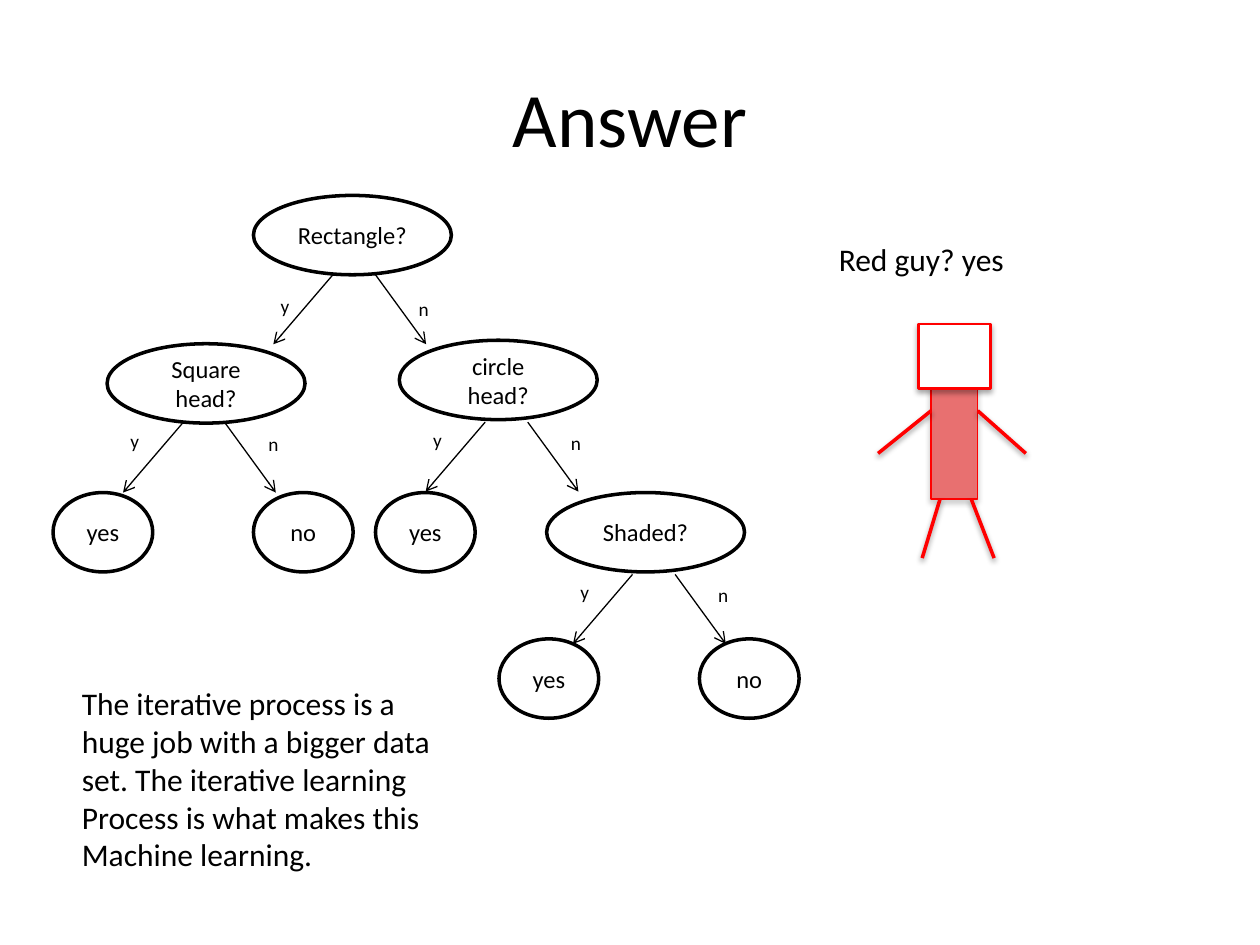
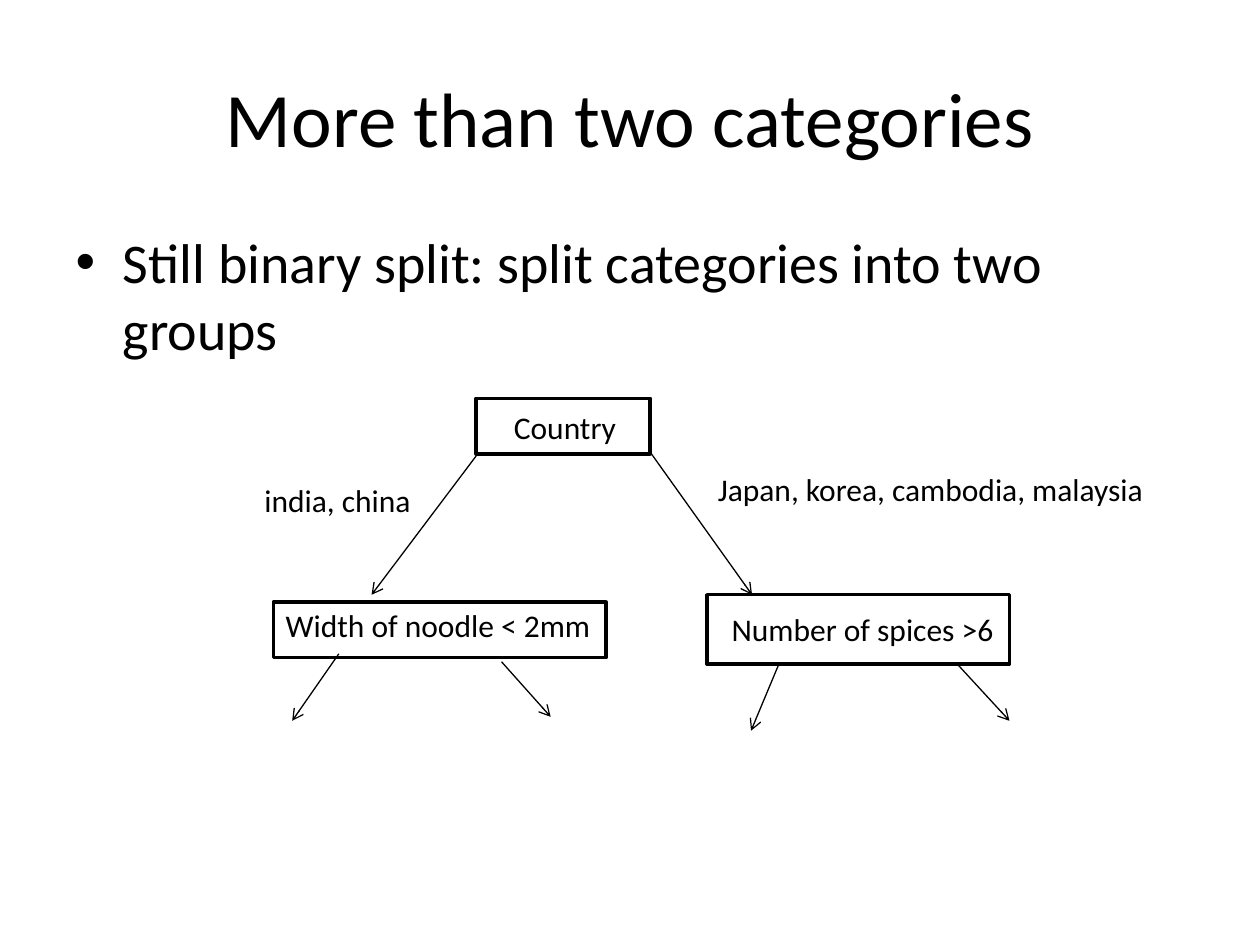
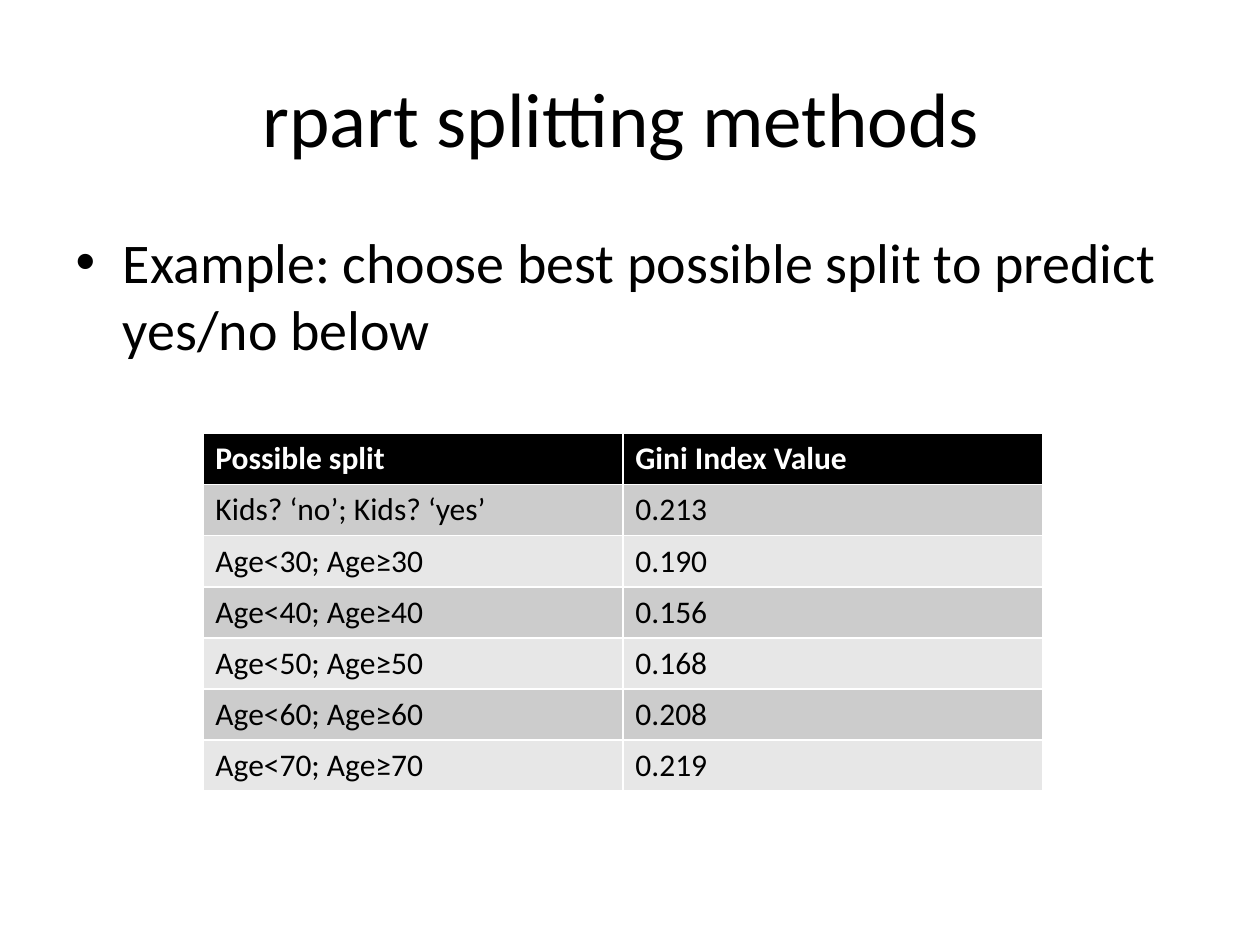
import pptx
import pptx.dml.color
import pptx.enum.shapes
import pptx.enum.text
import pptx.oxml
import pptx.oxml.ns
import pptx.util
from lxml import etree
from pptx.util import Cm

SHAPE = pptx.enum.shapes.MSO_SHAPE
FONT = "Calibri"
BLACK, WHITE, RED = "000000", "FFFFFF", "FF0000"
HEADER_FILL, ROW_FILLS = BLACK, ("CCCCCC", "E7E7E7")
TITLE_ONLY, TITLE_AND_BODY = 5, 1

# Lengths are in centimetres.
TITLE_BOX = (1.27, 0.76, 22.86, 3.18)
BODY_LEFT, BODY_TOP, BODY_WIDTH = 1.27, 4.45, 22.86
NODE_HEIGHT, QUESTION_WIDTH, LEAF_WIDTH = 1.6, 3.99, 2.01

QUESTIONS = [
    ("Rectangle?", 5.11, 3.94),
    ("Square head?", 2.16, 6.93),
    ("circle head?", 8.05, 6.86),
    ("Shaded?", 11.02, 9.93),
]
LEAVES = [
    ("yes", 1.07, 9.93), ("no", 5.11, 9.93), ("yes", 7.57, 9.93),
    ("yes", 10.06, 12.88), ("no", 14.1, 12.88),
]
# Start of the left arrow, and how far the y/n labels hang below it.
FORKS = [(6.71, 5.54, 0.26), (3.68, 8.53, 0), (9.78, 8.51, 0), (12.75, 11.58, 0)]
# Per branch: label, arrow start, arrow end, label left and top, label width.
BRANCHES = [("y", 0, -1.2, -1.3, 0, 0.69), ("n", 0.86, 1.88, 1.48, 0.06, 0.71)]
BRANCH_DROP = 1.4

ANSWER_TEXT = [
    "The iterative process is a",
    "huge job with a bigger data",
    "set. The iterative learning",
    "Process is what makes this",
    "Machine learning.",
]
LIMBS = [
    (19.58, 10.06, 20.04, 11.25), (18.95, 10.06, 18.59, 11.25),
    (19.71, 8.28, 20.68, 9.14), (18.77, 8.28, 17.7, 9.14),
]

CATEGORY_BOXES = [
    (9.6, 8.03, 3.51, 1.12), (5.51, 12.14, 6.71, 1.12), (14.25, 11.99, 6.1, 1.4),
]
CATEGORY_TEXTS = [
    ("Country", 10.11, 8.1, 5.03),
    ("india, china", 5.08, 9.58, 3.51),
    ("Japan, korea, cambodia, malaysia", 14.22, 9.35, 9.19),
    ("Width of noodle < 2mm", 5.51, 12.09, 6.73),
    ("Number of spices >6", 14.5, 12.17, 5.87),
]
CATEGORY_ARROWS = [
    (9.6, 9.19, 7.49, 11.99), (13.11, 9.12, 15.16, 11.99),
    (6.83, 13.18, 5.89, 14.53), (10.11, 13.34, 11.1, 14.45),
    (15.7, 13.39, 15.14, 14.73), (19.3, 13.39, 20.35, 14.53),
]

GINI_ROWS = [
    ("Possible split", "Gini Index Value"),
    ("Kids? ‘no’; Kids? ‘yes’", "0.213"),
    ("Age<30; Age≥30", "0.190"),
    ("Age<40; Age≥40", "0.156"),
    ("Age<50; Age≥50", "0.168"),
    ("Age<60; Age≥60", "0.208"),
    ("Age<70; Age≥70", "0.219"),
]


def color(value):
    return pptx.dml.color.RGBColor.from_string(value)


def lengths(*values):
    return [Cm(value) for value in values]


def write(frame, lines, size, ink=BLACK, bold=False, align=None):
    for index, line in enumerate(lines):
        para = frame.paragraphs[0] if index == 0 else frame.add_paragraph()
        para.alignment = align
        span = para.add_run()
        span.text = line
        span.font.name = FONT
        span.font.size = pptx.util.Pt(size)
        span.font.bold = bold
        span.font.color.rgb = color(ink)


def add_child(parent, tag, **attributes):
    return etree.SubElement(parent, pptx.oxml.ns.qn(tag), attributes)


def set_shadow(shape, opacity=None):
    """Give the shape a soft shadow below it, or none without an opacity."""
    effects = add_child(shape._element.spPr, "a:effectLst")
    if opacity:
        shadow = add_child(effects, "a:outerShdw", blurRad="40000", dist="22000",
                           dir="5400000", rotWithShape="0")
        ink = add_child(shadow, "a:srgbClr", val=BLACK)
        add_child(ink, "a:alpha", val=str(opacity * 1000))


def add_slide(deck, layout, title, body=None, body_height=0):
    slide = deck.slides.add_slide(deck.slide_layouts[layout])
    parts = [(slide.shapes.title, title, TITLE_BOX, 44)]
    if body:
        body_box = (BODY_LEFT, BODY_TOP, BODY_WIDTH, body_height)
        parts.append((slide.placeholders[1], body, body_box, 32))
    for holder, text, box, size in parts:
        holder.left, holder.top, holder.width, holder.height = lengths(*box)
        holder.text_frame.auto_size = pptx.enum.text.MSO_AUTO_SIZE.NONE
        write(holder.text_frame, [text], size)
    return slide


def add_text(slide, lines, left, top, width, height=1.02, size=18):
    box = slide.shapes.add_textbox(*lengths(left, top, width, height))
    box.text_frame.word_wrap = False
    box.text_frame.auto_size = pptx.enum.text.MSO_AUTO_SIZE.SHAPE_TO_FIT_TEXT
    write(box.text_frame, lines, size)


def add_outline(shapes, kind, box, fill=None, line=BLACK, weight=2, shadow=None):
    shape = shapes.add_shape(kind, *lengths(*box))
    if fill:
        shape.fill.solid()
        shape.fill.fore_color.rgb = color(fill)
    else:
        shape.fill.background()
    shape.line.color.rgb = color(line)
    shape.line.width = pptx.util.Pt(weight)
    set_shadow(shape, shadow)
    return shape


def add_line(shapes, ends, ink=BLACK, weight=0.75, arrow=True, shadow=None):
    straight = pptx.enum.shapes.MSO_CONNECTOR.STRAIGHT
    line = shapes.add_connector(straight, *lengths(*ends))
    line.line.color.rgb = color(ink)
    line.line.width = pptx.util.Pt(weight)
    if arrow:
        add_child(line.line._get_or_add_ln(), "a:tailEnd", type="arrow")
    set_shadow(line, shadow)


def add_fork(slide, left, top, label_drop):
    for label, start, end, label_left, label_top, width in BRANCHES:
        add_line(slide.shapes, (left + start, top, left + end, top + BRANCH_DROP))
        add_text(slide, [label], left + label_left, top + label_top + label_drop,
                 width, 0.73, size=11)


def add_node(slide, text, left, top, width):
    node = add_outline(slide.shapes, SHAPE.OVAL, (left, top, width, NODE_HEIGHT), WHITE)
    write(node.text_frame, [text], 14, align=pptx.enum.text.PP_ALIGN.CENTER)


def add_red_guy(slide):
    parts = slide.shapes.add_group_shape().shapes
    torso = add_outline(parts, SHAPE.RECTANGLE, (18.77, 7.82, 0.94, 2.24),
                        RED, RED, 0.75, shadow=35)
    torso_ink = torso._element.spPr.find(pptx.oxml.ns.qn("a:solidFill"))[0]
    add_child(torso_ink, "a:alpha", val="47000")
    for limb in LIMBS:
        add_line(parts, limb, RED, 2, arrow=False, shadow=38)
    add_outline(parts, SHAPE.RECTANGLE, (18.52, 6.53, 1.45, 1.3),
                WHITE, RED, 1.5, shadow=35)


def build_answer(deck):
    slide = add_slide(deck, TITLE_ONLY, "Answer")
    for fork in FORKS:
        add_fork(slide, *fork)
    for nodes, width in ((QUESTIONS, QUESTION_WIDTH), (LEAVES, LEAF_WIDTH)):
        for text, left, top in nodes:
            add_node(slide, text, left, top, width)
    add_text(slide, ["Red guy? yes"], 16.66, 4.72, 3.89)
    add_text(slide, ANSWER_TEXT, 1.4, 13.67, 7.62, 4.11)
    add_red_guy(slide)


def build_categories(deck):
    slide = add_slide(deck, TITLE_AND_BODY, "More than two categories",
                      "Still binary split: split categories into two groups", 3.28)
    for box in CATEGORY_BOXES:
        add_outline(slide.shapes, SHAPE.RECTANGLE, box)
    for text, left, top, width in CATEGORY_TEXTS:
        add_text(slide, [text], left, top, width)
    for ends in CATEGORY_ARROWS:
        add_line(slide.shapes, ends)


def build_splitting(deck):
    slide = add_slide(deck, TITLE_AND_BODY, "rpart splitting methods ",
                      "Example: choose best possible split to predict yes/no below",
                      10.29)
    frame = slide.shapes.add_table(len(GINI_ROWS), len(GINI_ROWS[0]),
                                   *lengths(4.09, 8.74, 16.93, 7.21))
    for row, values in enumerate(GINI_ROWS):
        header = row == 0
        for column, value in enumerate(values):
            cell = frame.table.cell(row, column)
            cell.fill.solid()
            cell.fill.fore_color.rgb = color(
                HEADER_FILL if header else ROW_FILLS[(row - 1) % 2])
            write(cell.text_frame, [value], 18, WHITE if header else BLACK, header)


def main():
    deck = pptx.Presentation()
    deck.slide_width, deck.slide_height = lengths(25.4, 19.05)
    build_answer(deck)
    build_categories(deck)
    build_splitting(deck)
    deck.save("out.pptx")


if __name__ == "__main__":
    main()
